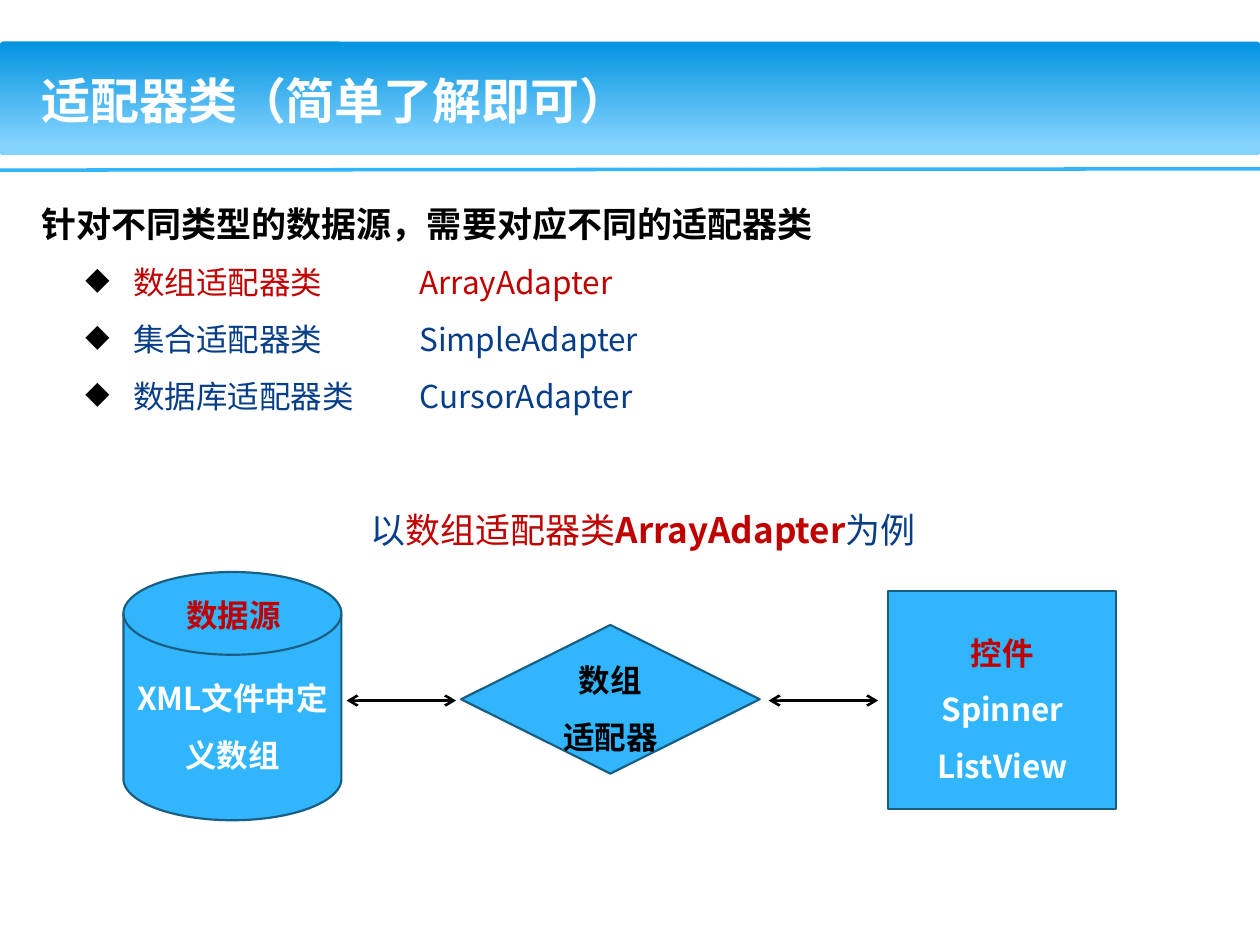
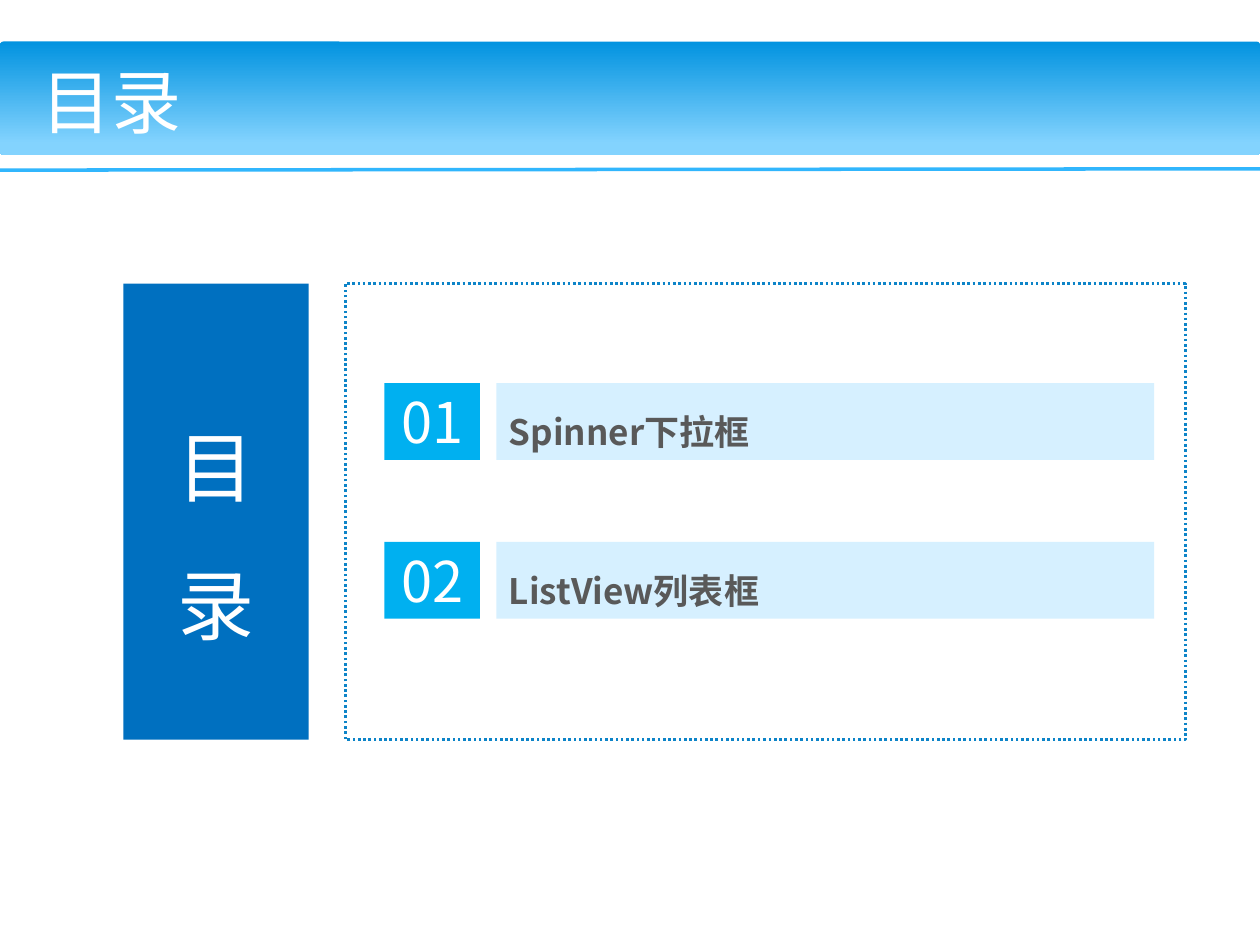
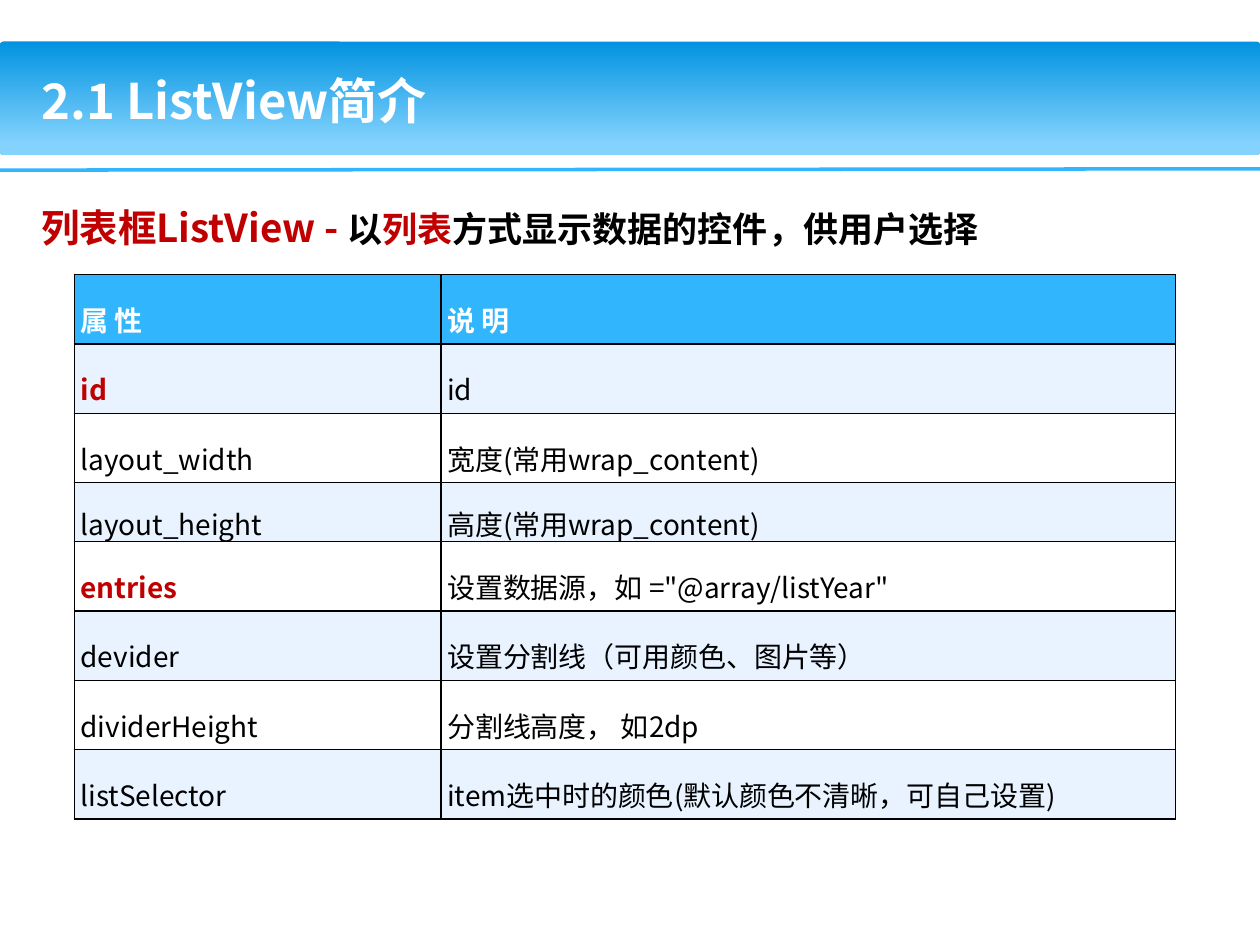
from lxml.etree import SubElement
from pptx import Presentation
from pptx.dml.color import RGBColor
from pptx.enum.dml import MSO_LINE
from pptx.enum.shapes import MSO_CONNECTOR, MSO_SHAPE
from pptx.enum.text import MSO_ANCHOR, PP_ALIGN
from pptx.oxml.ns import qn
from pptx.util import Emu, Inches, Pt

FONT = "Noto Sans CJK SC"
INK = {
    "black": "000000", "white": "FFFFFF", "red": "C00000", "navy": "073E87",
    "gray": "595959", "sky": "31B6FD", "edge": "195F84", "dots": "0D84C8",
    "deep": "0070C0", "cyan": "00B0F0", "pale": "D6F0FF", "ice": "E8F3FF",
    "top": "0293E0", "foot": "83D3FE",
}
INK = {name: RGBColor.from_string(code) for name, code in INK.items()}

deck = Presentation()
deck.slide_width, deck.slide_height = Inches(10), Inches(7.5)
# The grid has 100 columns and 75 rows.
COL, ROW = deck.slide_width / 100, deck.slide_height / 75


def write(frame, paras, space=None, align=PP_ALIGN.LEFT, anchor=MSO_ANCHOR.TOP, **base):
    """Fill a frame; each paragraph is a list of (text, changes to base) runs."""
    frame.word_wrap = True
    frame.vertical_anchor = anchor
    for num, runs in enumerate(paras):
        para = frame.add_paragraph() if num else frame.paragraphs[0]
        para.alignment, para.line_spacing = align, space
        for text, change in runs:
            run = para.add_run()
            run.text = text
            form = {"name": FONT, "bold": False, **base, **change}
            run.font.color.rgb = INK[form.pop("ink")]
            for key, val in form.items():
                setattr(run.font, key, val)
            SubElement(run.font._element, qn("a:ea"), typeface=FONT)


def draw(slide, kind, box, fill=None, edge=None, width=1.25):
    """Add a shape, or a text box if kind is None, at a box in grid cells."""
    left, top, wide, high = box
    place = [Emu(round(n)) for n in (left * COL, top * ROW, wide * COL, high * ROW)]
    if kind is None:
        return slide.shapes.add_textbox(*place)
    shape = slide.shapes.add_shape(kind, *place)
    shape.shadow.inherit = False
    for part, ink in ((shape.fill, fill), (shape.line.fill, edge)):
        if ink:
            part.solid()
            part.fore_color.rgb = INK[ink]
        else:
            part.background()
    if edge:
        shape.line.width = Pt(width)
    return shape


MID = {"anchor": MSO_ANCHOR.MIDDLE}
MAIN = {"align": PP_ALIGN.CENTER, **MID}
RED = {"ink": "red"}
lines = []

# Shared band, rule and title
slides = []
for title, size, bold in (("适配器类（简单了解即可）", 28, True), ("目录", 40, False),
                          ("2.1 ListView简介", 28, True)):
    slide = deck.slides.add_slide(deck.slide_layouts[6])
    band = draw(slide, MSO_SHAPE.ROUNDED_RECTANGLE, (0, 3.3, 100, 9), "top")
    band.adjustments[0] = 0.03
    band.fill.gradient()
    band.fill.gradient_angle = 270
    for stop, ink, spot in zip(band.fill.gradient_stops, ("top", "foot"), (0, 0.9)):
        stop.color.rgb, stop.position = INK[ink], spot
    lines.append((slide, (0, 13.5, 100, 13.4), "sky", 2, False))
    head = draw(slide, None, (2.3, 3.6, 88, 8.7))
    write(head.text_frame, [[(title, {})]], size=Pt(size), bold=bold, ink="white", **MID)
    slides.append(slide)
kinds, menu, intro = slides

# Adapter kinds
body = draw(kinds, None, (2.3, 13.9, 94.9, 21.2)).text_frame
item = {"size": Pt(18), "bold": False}
write(body, [
    [("针对不同类型的数据源，需要对应不同的适配器类", {})],
    [("数组适配器类\tArrayAdapter", {**item, "ink": "red"})],
    [("集合适配器类\tSimpleAdapter", {**item, "ink": "navy"})],
    [("数据库适配器类\tCursorAdapter", {**item, "ink": "navy"})],
], 1.5, size=Pt(20), bold=True, ink="black")
for para in body.paragraphs[1:]:
    props = para._p.get_or_add_pPr()
    props.set("marL", str(Inches(0.73)))
    props.set("indent", str(Inches(-0.38)))
    tint = SubElement(props, qn("a:buClr"))
    SubElement(tint, qn("a:srgbClr"), val=str(INK["black"]))
    SubElement(props, qn("a:buChar"), char="◆")
    tabs = SubElement(props, qn("a:tabLst"))
    SubElement(tabs, qn("a:tab"), pos=str(Inches(3)), algn="l")

# Data flow
flow = (
    (MSO_SHAPE.FLOWCHART_MAGNETIC_DISK, (9.8, 45.4, 17.3, 19.7), "white",
     [[("XML文件中定义数组", {})]]),
    (MSO_SHAPE.DIAMOND, (36.6, 49.6, 23.7, 11.8), "black",
     [[("数组", {})], [("适配器", {})]]),
    (MSO_SHAPE.RECTANGLE, (70.5, 46.9, 18.1, 17.3), "white",
     [[("控件", RED)], [("Spinner", {})], [("ListView", {})]]),
)
for kind, box, ink, paras in flow:
    node = draw(kinds, kind, box, "sky", "edge")
    write(node.text_frame, paras, 1.5, size=Pt(18), bold=True, ink=ink, **MAIN)
for left in (27.5, 61):
    lines.append((kinds, (left, 55.6, left + 8.7, 55.6), "black", 1.5, True))
label = draw(kinds, None, (13.8, 46.8, 9.6, 4)).text_frame
write(label, [[("数据源", {})]], size=Pt(18), bold=True, ink="red")
label.word_wrap = False
note = draw(kinds, None, (24.8, 39.9, 50.4, 4.7)).text_frame
write(note, [[("以", {}), ("数组适配器类", RED), ("ArrayAdapter", {**RED, "bold": True}),
              ("为例", {})]], size=Pt(20), ink="navy")
note.paragraphs[0]._p.get_or_add_pPr().set("marL", str(Inches(0.36)))

# Menu
frame = draw(menu, MSO_SHAPE.RECTANGLE, (27.4, 22.5, 66.7, 36.2), None, "dots", 1.5)
frame.line.dash_style = MSO_LINE.ROUND_DOT
side = draw(menu, MSO_SHAPE.RECTANGLE, (9.8, 22.5, 14.7, 36.2), "deep")
write(side.text_frame, [[("目", {})], [("录", {})]], 1.5, size=Pt(44), ink="white", **MAIN)
for num, topic in enumerate(("Spinner下拉框", "ListView列表框")):
    top = 30.4 + 12.6 * num
    bar = draw(menu, MSO_SHAPE.RECTANGLE, (39.4, top, 52.2, 6.1), "pale")
    write(bar.text_frame, [[(topic, {})]], 1.5, size=Pt(20), bold=True, ink="gray")
    tag = draw(menu, MSO_SHAPE.RECTANGLE, (30.5, top, 7.6, 6.1), "cyan").text_frame
    tag.margin_left = tag.margin_right = Inches(0.07)
    tag.margin_top = tag.margin_bottom = Inches(0.04)
    write(tag, [[(f"{num + 1:02}", {})]], size=Pt(32), ink="white", **MAIN)

# ListView attributes
lead = draw(intro, None, (2.3, 13.9, 94.9, 7.9)).text_frame
write(lead, [[("列表框ListView - ", {**RED, "size": Pt(22)}), ("以", {}), ("列表", RED),
              ("方式显示数据的控件，供用户选择", {})]],
      1.5, size=Pt(20), bold=True, ink="black")
rows = (
    ("属 性", "说 明"),
    ("id", "id"),
    ("layout_width", "宽度(常用wrap_content)"),
    ("layout_height", "高度(常用wrap_content)"),
    ("entries", '设置数据源，如 ="@array/listYear"'),
    ("devider", "设置分割线（可用颜色、图片等）"),
    ("dividerHeight", "分割线高度， 如2dp"),
    ("listSelector", "item选中时的颜色(默认颜色不清晰，可自己设置)"),
)
table = intro.shapes.add_table(len(rows), 2, Inches(0.59), Inches(2.18),
                               Inches(8.74), Inches(4.32)).table
table.first_row = table.horz_banding = False
table.columns[0].width, table.columns[1].width = Inches(2.91), Inches(5.83)
for r, row in enumerate(rows):
    table.rows[r].height = Inches(0.47 if r == 3 else 0.55)
    for c, text in enumerate(row):
        cell = table.cell(r, c)
        cell.margin_left = cell.margin_right = Inches(0.05)
        cell.margin_top = cell.margin_bottom = 0
        key = c == 0 and text in ("id", "entries")
        ink = "white" if r == 0 else "red" if key else "black"
        write(cell.text_frame, [[(text, {})]], 1.5, size=Pt(16), bold=r == 0 or key, ink=ink)
        cell.vertical_anchor = MSO_ANCHOR.MIDDLE
        props = cell._tc.get_or_add_tcPr()
        for edge in ("lnL", "lnR", "lnT", "lnB"):
            rim = SubElement(props, qn(f"a:{edge}"), w=str(Pt(1)))
            SubElement(SubElement(rim, qn("a:solidFill")), qn("a:srgbClr"),
                       val=str(INK["black"]))
        cell.fill.solid()
        cell.fill.fore_color.rgb = INK["sky" if r == 0 else "ice" if r % 2 else "white"]

# Rules and arrows
for slide, (x1, y1, x2, y2), ink, width, heads in lines:
    ends = [Emu(round(n)) for n in (x1 * COL, y1 * ROW, x2 * COL, y2 * ROW)]
    rule = slide.shapes.add_connector(MSO_CONNECTOR.STRAIGHT, *ends)
    rule.line.color.rgb, rule.line.width = INK[ink], Pt(width)
    if heads:
        for end in ("headEnd", "tailEnd"):
            SubElement(rule.line._get_or_add_ln(), qn(f"a:{end}"), type="arrow")
    SubElement(rule._element.spPr, qn("a:effectLst"))

deck.save("out.pptx")
